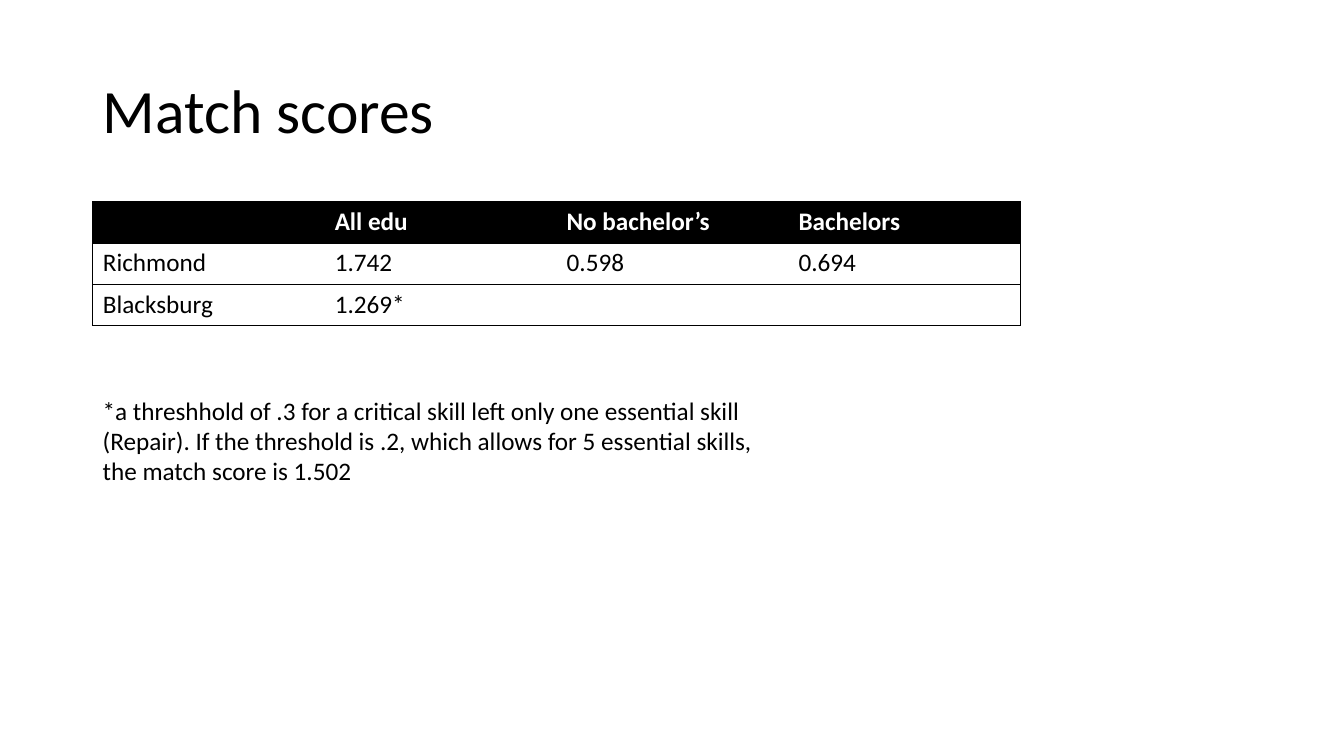
from lxml.etree import SubElement
from pptx import Presentation
from pptx.dml.color import RGBColor
from pptx.enum.text import MSO_ANCHOR
from pptx.oxml.ns import qn
from pptx.util import Inches, Pt

# Content
TITLE = "Match scores"
ROWS = [
    ("", "All edu", "No bachelor’s", "Bachelors"),
    ("Richmond", "1.742", "0.598", "0.694"),
    ("Blacksburg", "1.269*", "", ""),
]
NOTE = (
    "*a threshhold of .3 for a critical skill left only one essential skill "
    "(Repair). If the threshold is .2, which allows for 5 essential skills, "
    "the match score is 1.502"
)

# Format
BLACK = RGBColor(0, 0, 0)
WHITE = RGBColor(255, 255, 255)
BODY = {"name": "Calibri", "size": Pt(18), "bold": False}
HEAD = {**BODY, "bold": True}
BIG = {**BODY, "size": Pt(44)}
LEFT = 0.92
COL_W, ROW_H = 2.3, 0.41


def style(para, form, color):
    for key, value in form.items():
        setattr(para.font, key, value)
    para.font.color.rgb = color


def add_text(slide, text, box, form, anchor):
    frame = slide.shapes.add_textbox(*map(Inches, box)).text_frame
    frame.word_wrap = True
    frame.vertical_anchor = anchor
    para = frame.paragraphs[0]
    para.text = text
    style(para, form, BLACK)
    return para


def add_edges(cell, shown):
    props = cell._tc.get_or_add_tcPr()
    for side in "LRTB":
        line = SubElement(props, qn(f"a:ln{side}"), w=str(Pt(0.5)))
        if side in shown:
            fill = SubElement(line, qn("a:solidFill"))
            SubElement(fill, qn("a:srgbClr"), val=str(BLACK))
        else:
            SubElement(line, qn("a:noFill"))


def add_scores(slide):
    n_rows, n_cols = len(ROWS), len(ROWS[0])
    size = (LEFT, 2, n_cols * COL_W, n_rows * ROW_H)
    table = slide.shapes.add_table(n_rows, n_cols, *map(Inches, size)).table
    for col in table.columns:
        col.width = Inches(COL_W)
    for r, row in enumerate(ROWS):
        table.rows[r].height = Inches(ROW_H)
        for c, text in enumerate(row):
            cell = table.cell(r, c)
            cell.text = text
            # Outer frame plus a rule across each row
            add_edges(cell, "TB" + "L" * (c == 0) + "R" * (c == n_cols - 1))
            if r == 0:
                cell.fill.solid()
                cell.fill.fore_color.rgb = BLACK
                style(cell.text_frame.paragraphs[0], HEAD, WHITE)
            else:
                cell.fill.background()
                style(cell.text_frame.paragraphs[0], BODY, BLACK)


def main():
    deck = Presentation()
    deck.slide_width, deck.slide_height = Inches(13.33), Inches(7.5)
    slide = deck.slides.add_slide(deck.slide_layouts[6])

    # Title, table, footnote
    title = add_text(slide, TITLE, (LEFT, 0.4, 11.5, 1.45), BIG, MSO_ANCHOR.MIDDLE)
    title.line_spacing = 0.9
    add_scores(slide)
    add_text(slide, NOTE, (LEFT, 3.87, 6.67, 1.01), BODY, MSO_ANCHOR.TOP)

    deck.save("out.pptx")


if __name__ == "__main__":
    main()
